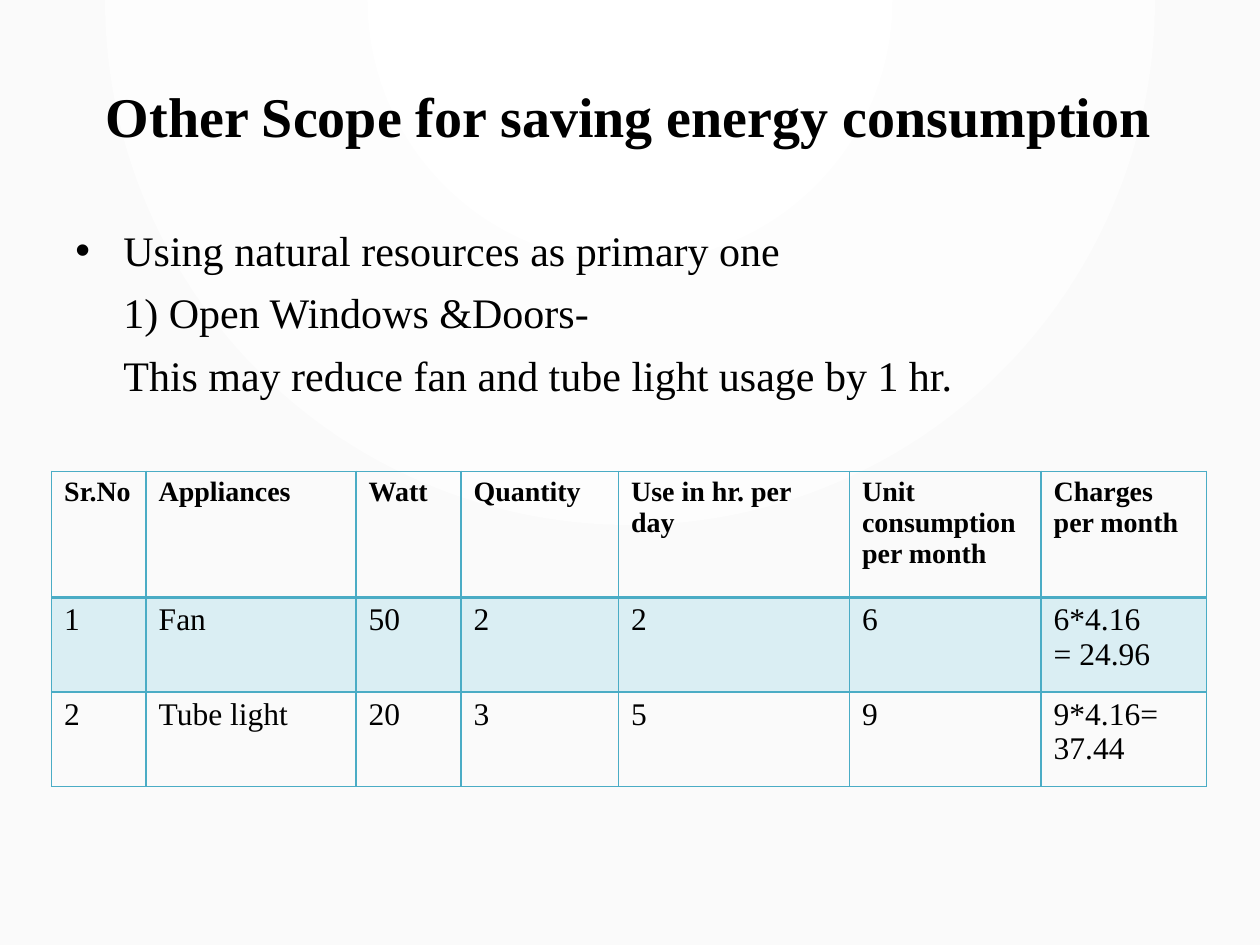
from dataclasses import dataclass

from lxml.etree import SubElement
from pptx import Presentation
from pptx.dml.color import RGBColor
from pptx.enum.text import MSO_ANCHOR, PP_ALIGN
from pptx.oxml import parse_xml
from pptx.oxml.ns import nsdecls, qn
from pptx.util import Pt


@dataclass(frozen=True)
class Theme:
    """Colours, font and type sizes of the slide."""
    font: str = "Times New Roman"
    ink: str = "000000"
    border: str = "4AACC5"
    band: str = "DAEEF3"
    glow: str = "FFFFFF"
    backdrop: str = "FAFAFA"
    title_size: int = 32
    body_size: int = 24
    header_size: int = 16
    cell_size: int = 18


THEME = Theme()
TITLE = "Other Scope for saving energy consumption"
BODY = [
    ("Using natural resources as primary one", 0, 28, -27.4, ("buChar", "char", "•")),
    ("Open Windows &Doors-", 1, 54, -26, ("buAutoNum", "type", "arabicParenR")),
    ("This may reduce fan and tube light usage by 1 hr.", 0, 28, 0, None),
]
COLUMN_WIDTHS = [54, 120, 60, 90, 132, 109.5, 94.5]
ROW_HEIGHTS = [72, 54, 54]
ROWS = [
    ["Sr.No", "Appliances", "Watt", "Quantity", "Use in hr. per\nday",
     "Unit consumption per month", "Charges\nper month"],
    ["1", "Fan", "50", "2", "2", "6", "6*4.16\n= 24.96"],
    ["2", "Tube light", "20", "3", "5", "9", "9*4.16=\n37.44"],
]


def set_background(slide):
    """Fill the slide with a soft radial glow from the top centre."""
    slide.background.fill.solid()
    properties = slide.background._cSld.bg.bgPr
    solid_fill = properties.find(qn("a:solidFill"))
    gradient = parse_xml(
        f'<a:gradFill {nsdecls("a")} rotWithShape="1"><a:gsLst>'
        f'<a:gs pos="0"><a:srgbClr val="{THEME.glow}"/></a:gs>'
        f'<a:gs pos="100000"><a:srgbClr val="{THEME.backdrop}"/></a:gs></a:gsLst>'
        '<a:path path="circle"><a:fillToRect l="43000" t="0" r="43000" b="100000"/></a:path>'
        '</a:gradFill>')
    properties.replace(solid_fill, gradient)


def place(shape, left, top, width, height):
    """Position a shape, in points."""
    shape.left, shape.top = Pt(left), Pt(top)
    shape.width, shape.height = Pt(width), Pt(height)


def set_margins(target, left, top):
    """Give a text frame or cell its left and top margins and no others."""
    target.margin_left, target.margin_top = Pt(left), Pt(top)
    target.margin_right = target.margin_bottom = 0


def style_paragraph(paragraph, size, bold=False, space_before=0):
    """Apply the theme font and spacing to a left-aligned paragraph."""
    paragraph.alignment = PP_ALIGN.LEFT
    paragraph.space_before = Pt(space_before)
    paragraph.font.name = THEME.font
    paragraph.font.size = Pt(size)
    paragraph.font.bold = bold
    paragraph.font.color.rgb = RGBColor.from_string(THEME.ink)


def set_bullet(paragraph, margin, indent, bullet):
    """Set the hanging indent and the bullet, or no bullet."""
    properties = paragraph._p.get_or_add_pPr()
    properties.set("marL", str(Pt(margin)))
    properties.set("indent", str(Pt(indent)))
    tag, attribute, value = bullet or ("buNone", None, None)
    element = SubElement(properties, qn(f"a:{tag}"))
    if attribute:
        element.set(attribute, value)


def add_title(slide):
    """Fill the title placeholder."""
    title = slide.shapes.title
    place(title, 60.5, 45.4, 599, 40.3)
    frame = title.text_frame
    set_margins(frame, 0, 1)
    frame.vertical_anchor = MSO_ANCHOR.TOP
    frame.text = TITLE
    style_paragraph(frame.paragraphs[0], THEME.title_size, bold=True, space_before=1)


def add_body(slide):
    """Fill the body placeholder with the list."""
    body = slide.placeholders[1]
    place(body, 42.5, 121.7, 503.3, 105.8)
    frame = body.text_frame
    set_margins(frame, 0, 6.5)
    frame.text = "\n".join(text for text, *_ in BODY)
    for paragraph, (_, level, margin, indent, bullet) in zip(frame.paragraphs, BODY):
        paragraph.level = level
        set_bullet(paragraph, margin, indent, bullet)
        style_paragraph(paragraph, THEME.body_size, space_before=7)


def set_borders(cell, top, bottom):
    """Draw the four borders of a cell, with the given top and bottom widths."""
    properties = cell._tc.get_or_add_tcPr()
    for side, width in {"L": 1, "R": 1, "T": top, "B": bottom}.items():
        properties.append(parse_xml(
            f'<a:ln{side} {nsdecls("a")} w="{Pt(width)}"><a:solidFill>'
            f'<a:srgbClr val="{THEME.border}"/></a:solidFill></a:ln{side}>'))


def fill_cell(cell, text, row):
    """Write and format one cell according to its row."""
    header, banded = row == 0, row == 1
    set_borders(cell, 2.25 if banded else 1, 2.25 if header else 1)
    if banded:
        cell.fill.solid()
        cell.fill.fore_color.rgb = RGBColor.from_string(THEME.band)
    else:
        cell.fill.background()
    set_margins(cell, 7.2, 3)
    cell.text = text
    size = THEME.header_size if header else THEME.cell_size
    for index, paragraph in enumerate(cell.text_frame.paragraphs):
        style_paragraph(paragraph, size, bold=header, space_before=0 if index else 3)


def add_appliance_table(slide):
    """Add the table of appliances and their charges."""
    frame = slide.shapes.add_table(
        len(ROWS), len(COLUMN_WIDTHS), Pt(29.5), Pt(269.3),
        Pt(sum(COLUMN_WIDTHS)), Pt(sum(ROW_HEIGHTS)))
    table = frame.table
    table.first_row = table.horz_banding = False
    for column, width in zip(table.columns, COLUMN_WIDTHS):
        column.width = Pt(width)
    for row, height in zip(table.rows, ROW_HEIGHTS):
        row.height = Pt(height)
    for row, texts in enumerate(ROWS):
        for column, text in enumerate(texts):
            fill_cell(table.cell(row, column), text, row)


def main():
    """Build and save the slide."""
    presentation = Presentation()
    presentation.slide_width, presentation.slide_height = Pt(720), Pt(540)
    slide = presentation.slides.add_slide(presentation.slide_layouts[1])
    set_background(slide)
    add_title(slide)
    add_body(slide)
    add_appliance_table(slide)
    presentation.save("out.pptx")


if __name__ == "__main__":
    main()
